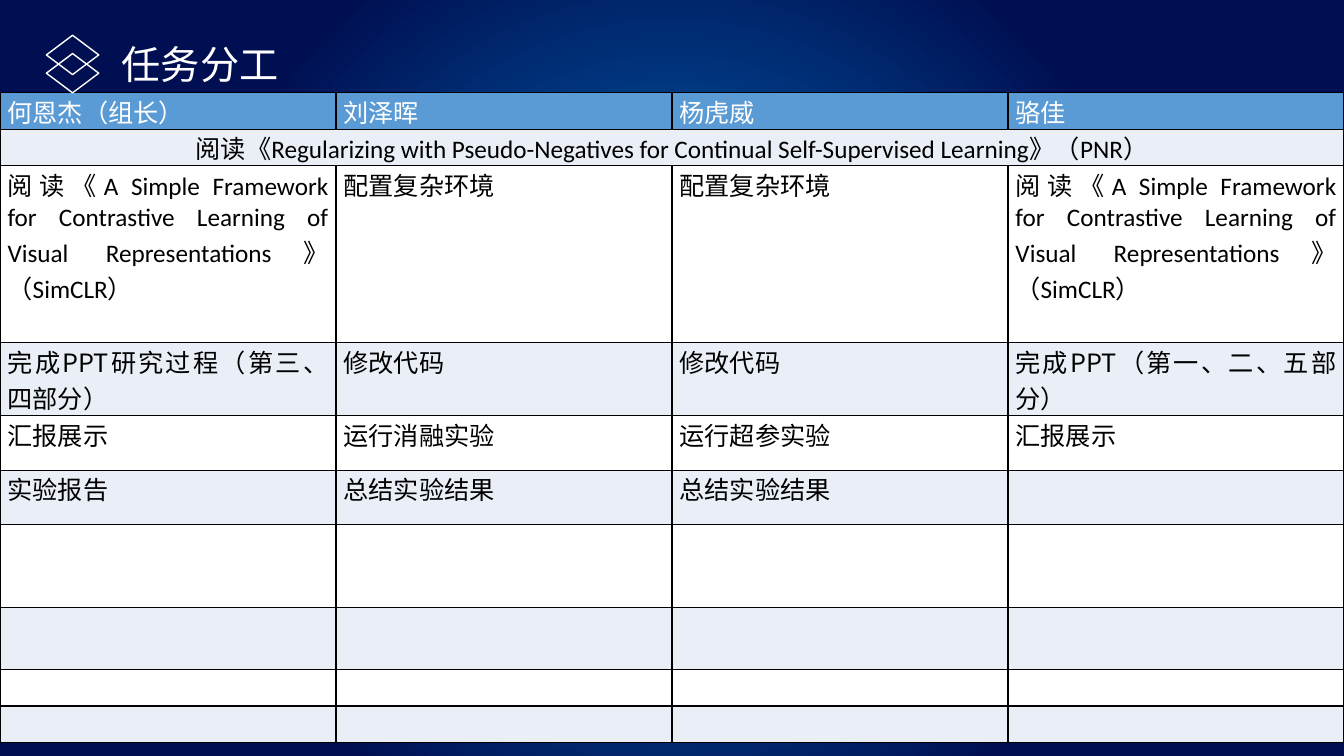
from lxml import etree
from pptx import Presentation
from pptx.dml.color import RGBColor
from pptx.enum.shapes import MSO_SHAPE
from pptx.enum.text import MSO_AUTO_SIZE, PP_ALIGN
from pptx.oxml import parse_xml
from pptx.oxml.ns import nsdecls, qn
from pptx.util import Cm, Pt

WHITE = RGBColor(0xFF, 0xFF, 0xFF)
BLACK = RGBColor(0x00, 0x00, 0x00)
HEADER_BLUE = RGBColor(0x5B, 0x9B, 0xD5)
BAND_BLUE = RGBColor(0xEA, 0xEF, 0xF7)
GLOW_BLUE = RGBColor(0x00, 0x70, 0xC0)
NIGHT_BLUE = RGBColor(0x00, 0x0F, 0x52)

LATIN_FONT = "Calibri"
CHINESE_FONT = "Noto Sans CJK SC"

SLIDE_WIDTH, SLIDE_HEIGHT = 33.87, 19.05
TABLE_TOP = 2.34
ROW_HEIGHTS = [0.92, 0.92, 4.46, 1.84, 1.37, 1.37, 2.08, 1.57, 0.92, 0.92]

SHARED_PAPER = "阅读《Regularizing with Pseudo-Negatives for Continual Self-Supervised Learning》（PNR）"
SIMCLR_PAPER = "阅读《A Simple Framework for Contrastive Learning of Visual Representations》（SimCLR）"
TASKS = [
    ["何恩杰（组长）", "刘泽晖", "杨虎威", "骆佳"],
    [SHARED_PAPER],
    [SIMCLR_PAPER, "配置复杂环境", "配置复杂环境", SIMCLR_PAPER],
    ["完成PPT研究过程（第三、四部分）", "修改代码", "修改代码", "完成PPT（第一、二、五部分）"],
    ["汇报展示", "运行消融实验", "运行超参实验", "汇报展示"],
    ["实验报告", "总结实验结果", "总结实验结果"],
]
CALIBRI_TEXTS = {TASKS[0][0], SHARED_PAPER, SIMCLR_PAPER}


def paint_background(slide):
    """Radial glow from the centre of the slide."""
    fill = slide.background.fill
    fill.gradient()
    stops = zip(fill.gradient_stops, [(0, GLOW_BLUE), (0.64, NIGHT_BLUE)])
    for stop, (position, color) in stops:
        stop.position = position
        stop.color.rgb = color
    gradient = slide.element.find(".//" + qn("a:gradFill"))
    gradient.replace(gradient.find(qn("a:lin")), parse_xml(
        f'<a:path {nsdecls("a")} path="circle">'
        '<a:fillToRect l="50000" t="50000" r="50000" b="50000"/></a:path>'))


def format_text(paragraph, size, color, font_name):
    for run in paragraph.runs:
        run.font.size = Pt(size)
        run.font.color.rgb = color
        run.font.name = font_name
        east_asian = etree.SubElement(run.font._element, qn("a:ea"))
        east_asian.set("typeface", CHINESE_FONT)


def add_borders(cell):
    properties = cell._tc.get_or_add_tcPr()
    for index, side in enumerate(["lnL", "lnR", "lnT", "lnB"]):
        properties.insert(index, parse_xml(
            f'<a:{side} {nsdecls("a")} w="12700"><a:solidFill>'
            f'<a:srgbClr val="{BLACK}"/></a:solidFill></a:{side}>'))


def fill_cell(cell, text, row):
    cell.margin_left = cell.margin_right = Cm(0.19)
    cell.margin_top = cell.margin_bottom = 0
    cell.fill.solid()
    if row == 0:
        cell.fill.fore_color.rgb = HEADER_BLUE
    else:
        cell.fill.fore_color.rgb = BAND_BLUE if row % 2 else WHITE
    add_borders(cell)
    if text:
        cell.text_frame.text = text
        paragraph = cell.text_frame.paragraphs[0]
        paragraph.alignment = PP_ALIGN.CENTER if text == SHARED_PAPER else PP_ALIGN.JUSTIFY
        font_name = LATIN_FONT if text in CALIBRI_TEXTS else CHINESE_FONT
        format_text(paragraph, 18, BLACK if row else WHITE, font_name)


def add_task_table(slide):
    members = len(TASKS[0])
    table = slide.shapes.add_table(
        len(ROW_HEIGHTS), members, 0, Cm(TABLE_TOP),
        Cm(SLIDE_WIDTH), Cm(sum(ROW_HEIGHTS))).table
    for column in table.columns:
        column.width = Cm(SLIDE_WIDTH / members)
    for row, height in enumerate(ROW_HEIGHTS):
        table.rows[row].height = Cm(height)
        texts = TASKS[row] if row < len(TASKS) else []
        for column in range(members):
            text = texts[column] if column < len(texts) else ""
            fill_cell(table.cell(row, column), text, row)
    # The shared reading spans every member
    table.cell(1, 0).merge(table.cell(1, members - 1))


def add_diamond(group, top):
    diamond = group.shapes.add_shape(
        MSO_SHAPE.DIAMOND, Cm(1.17), Cm(top), Cm(1.32), Cm(0.99))
    diamond.shadow.inherit = False
    diamond.fill.background()
    diamond.line.color.rgb = WHITE
    diamond.line.width = Pt(1)


def add_heading(slide):
    group = slide.shapes.add_group_shape()
    title = group.shapes.add_textbox(Cm(2.82), Cm(0.89), Cm(10.08), Cm(1.45))
    text_frame = title.text_frame
    text_frame.word_wrap = True
    text_frame.auto_size = MSO_AUTO_SIZE.SHAPE_TO_FIT_TEXT
    text_frame.text = "任务分工"
    format_text(text_frame.paragraphs[0], 28, WHITE, CHINESE_FONT)
    for top in (0.89, 1.35):
        add_diamond(group, top)


def main():
    presentation = Presentation()
    presentation.slide_width = Cm(SLIDE_WIDTH)
    presentation.slide_height = Cm(SLIDE_HEIGHT)
    slide = presentation.slides.add_slide(presentation.slide_layouts[6])
    paint_background(slide)
    add_task_table(slide)
    add_heading(slide)
    presentation.save("out.pptx")


if __name__ == "__main__":
    main()
